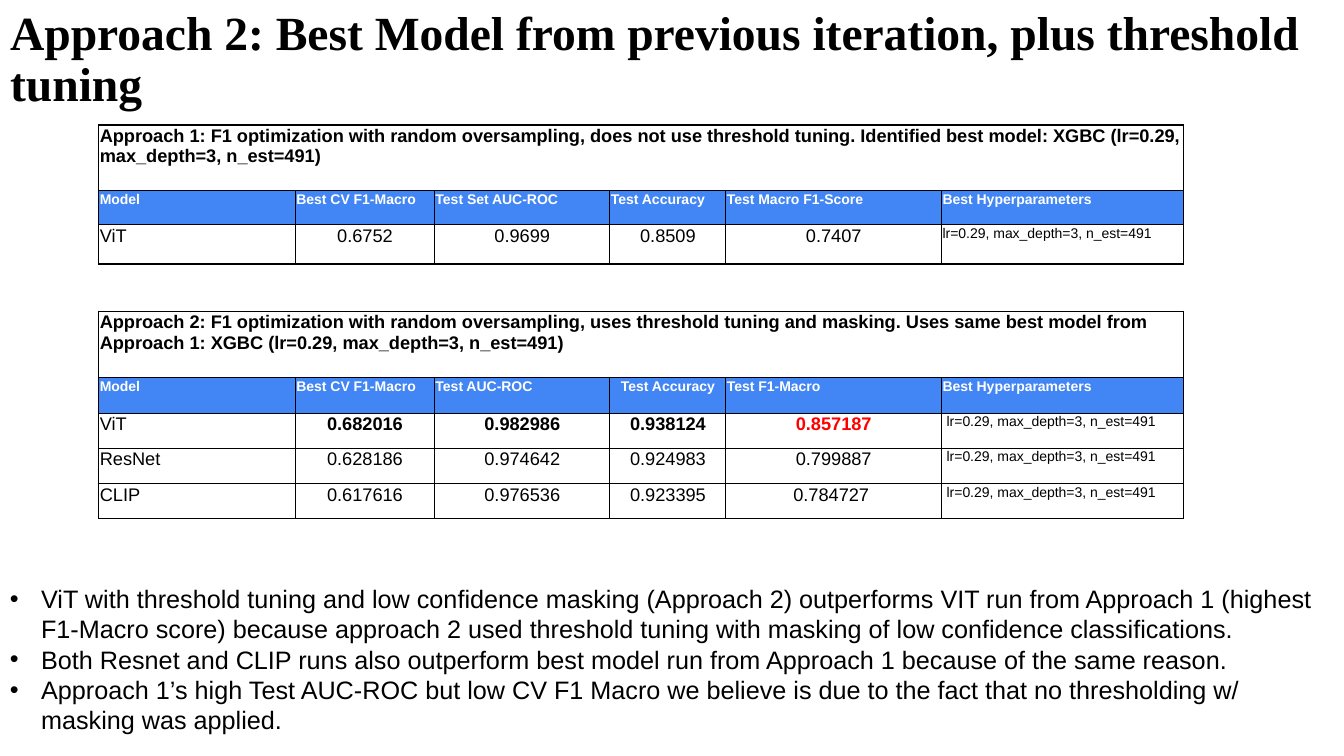
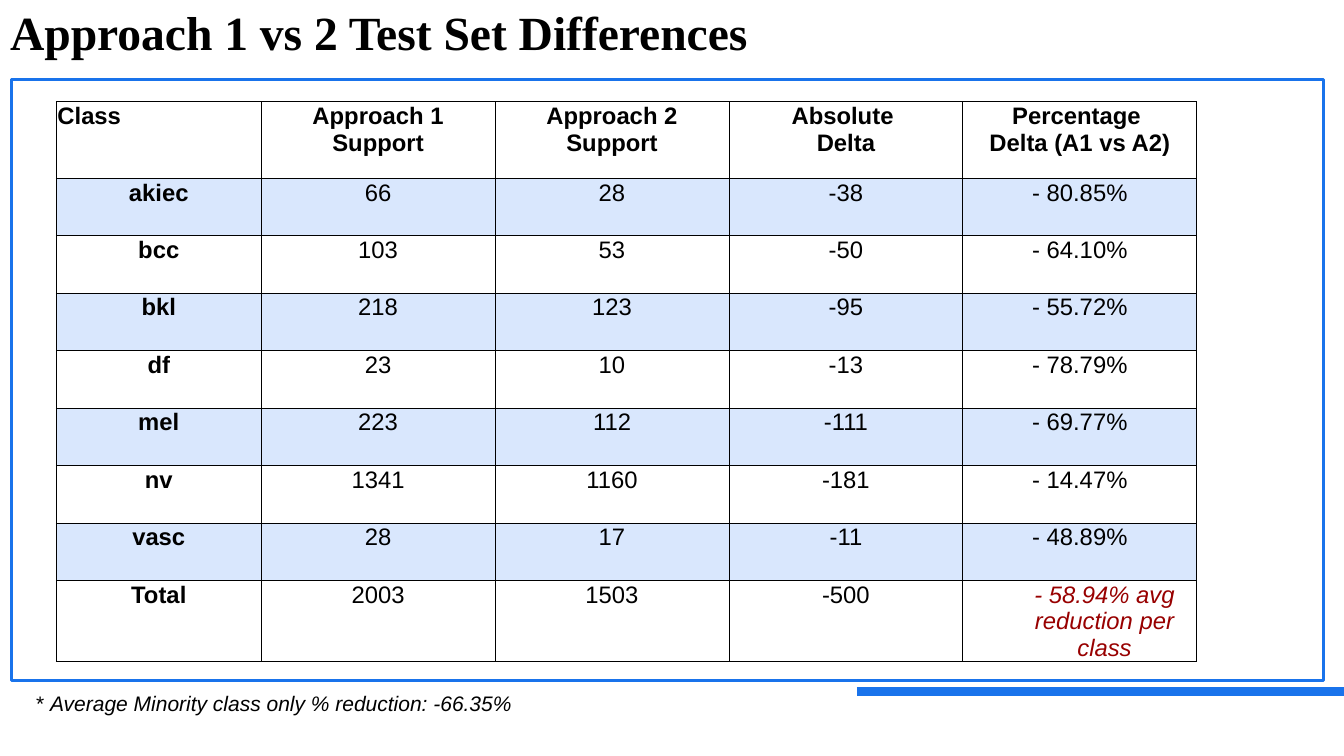
from collections import namedtuple

from pptx import Presentation
from pptx.dml.color import RGBColor
from pptx.enum.shapes import MSO_CONNECTOR, MSO_SHAPE
from pptx.enum.text import MSO_ANCHOR, MSO_AUTO_SIZE, PP_ALIGN
from pptx.oxml.ns import qn
from pptx.util import Inches, Pt
from lxml.etree import SubElement

COLORS = {"ink": "000000", "paper": "FFFFFF", "accent": "1973EB", "header": "4285F4",
          "stripe": "D9E7FD", "best": "FF0000", "loss": "980000"}
SLIDE_WIDTH, SLIDE_HEIGHT = Inches(13.33), Inches(7.5)
THIN, THICK = 0.75, 1
PARAMETERS = "lr=0.29, max_depth=3, n_est=491"

Box = namedtuple("Box", "left top width height")


def share(left, top, width, height):
    """Turn percentages of the slide into a box."""
    return Box(int(SLIDE_WIDTH * left / 100), int(SLIDE_HEIGHT * top / 100),
               int(SLIDE_WIDTH * width / 100), int(SLIDE_HEIGHT * height / 100))


def rgb(name):
    """Look up a named colour."""
    return RGBColor.from_string(COLORS[name])


def write(para, text, size=18, color="ink", bold=False, italic=False,
          font="Arial", align=PP_ALIGN.LEFT):
    """Put formatted text into a paragraph."""
    para.text = text
    para.alignment = align
    for span in para.runs:
        span.font.name, span.font.size = font, Pt(size)
        span.font.bold, span.font.italic = bold, italic
        span.font.color.rgb = rgb(color)


def add_page(deck, title):
    """Add a page with the shared title style."""
    page = deck.slides.add_slide(deck.slide_layouts[5])
    box = page.shapes.title
    box.left, box.top, box.width, box.height = share(0, 0.53, 100, 16)
    frame = box.text_frame
    frame.word_wrap, frame.auto_size = True, MSO_AUTO_SIZE.NONE
    frame.vertical_anchor = MSO_ANCHOR.TOP
    para = frame.paragraphs[0]
    write(para, title, size=34, bold=True, font="Times New Roman")
    para.line_spacing = 0.9
    return page


def add_panel(page, box, line=None):
    """Add a white rectangle, outlined on request."""
    panel = page.shapes.add_shape(MSO_SHAPE.RECTANGLE, *box)
    panel.shadow.inherit = False
    panel.fill.solid()
    panel.fill.fore_color.rgb = rgb("paper")
    if line:
        panel.line.color.rgb = rgb(line)
        panel.line.width = Pt(2)
    else:
        panel.line.fill.background()
    return panel


def add_band(page, box):
    """Draw the accent band along the top of a box."""
    band = page.shapes.add_connector(MSO_CONNECTOR.STRAIGHT, box.left, box.top,
                                     box.left + box.width, box.top)
    band.line.color.rgb = rgb("accent")
    band.line.width = Pt(6)
    SubElement(band._element.spPr, qn("a:effectLst"))


def add_grid(page, box, columns, rows):
    """Add a plain table whose columns and rows share the box by weight."""
    table = page.shapes.add_table(len(rows), len(columns), *box).table
    table.first_row = table.horz_banding = False
    for column, weight in zip(table.columns, columns):
        column.width = int(box.width * weight / sum(columns))
    for row, weight in zip(table.rows, rows):
        row.height = int(box.height * weight / sum(rows))
    return table


def set_borders(cell, left, right, top, bottom):
    """Draw the four cell borders, leaving out those of zero width."""
    properties = cell._tc.get_or_add_tcPr()
    for side, width in zip("LRTB", (left, right, top, bottom)):
        line = SubElement(properties, qn("a:ln" + side), w=str(Pt(width)))
        if width:
            fill = SubElement(line, qn("a:solidFill"))
            SubElement(fill, qn("a:srgbClr"), val=COLORS["ink"])
        else:
            SubElement(line, qn("a:noFill"))


def fill_cell(cell, text="", fill="paper", indent=0.01, **style):
    """Set fill, margins and text of a cell, one paragraph a line."""
    cell.fill.solid()
    cell.fill.fore_color.rgb = rgb(fill)
    cell.margin_left = Inches(indent)
    cell.margin_top = cell.margin_right = Inches(0.01)
    cell.margin_bottom = 0
    for index, line in enumerate(text.split("\n") if text else []):
        frame = cell.text_frame
        write(frame.add_paragraph() if index else frame.paragraphs[0], line, **style)


def outline_rows(table, first, last):
    """Rule a block of rows thinly, with a thicker outer edge."""
    end = len(table.columns) - 1
    for row in range(first, last + 1):
        for column in range(end + 1):
            set_borders(table.cell(row, column),
                        THICK if column == 0 else THIN, THICK if column == end else THIN,
                        THICK if row == first else THIN, THICK if row == last else THIN)


def fill_results(table, first, caption, headers, results, best=None, centered=None, indent=0.01):
    """Fill a block with its caption, header row and model results."""
    end = len(headers) - 1
    outline_rows(table, first, first + 1 + len(results))
    banner = table.cell(first, 0)
    banner.merge(table.cell(first, end))
    set_borders(table.cell(first, end), 0, THICK, THICK, THIN)
    fill_cell(banner, caption, size=13, bold=True)
    for column, header in enumerate(headers):
        fill_cell(table.cell(first + 1, column), header, fill="header", size=10, color="paper",
                  bold=True, align=PP_ALIGN.CENTER if column == centered else PP_ALIGN.LEFT)
    for row, (model, *scores) in enumerate(results, first + 2):
        fill_cell(table.cell(row, 0), model, size=13)
        for column, score in enumerate(scores, 1):
            fill_cell(table.cell(row, column), score, size=13, align=PP_ALIGN.CENTER,
                      bold=model == best,
                      color="best" if model == best and column == len(scores) else "ink")
        fill_cell(table.cell(row, end), PARAMETERS, size=10, indent=indent)


def add_results(page, box):
    """Add the table that compares both approaches."""
    table = add_grid(page, box, [1.95, 1.38, 1.74, 1.15, 2.14, 2.4],
                     [0.65, 0.34, 0.39, 0.47, 0.66, 0.35, 0.35, 0.35, 0.35])
    fill_results(
        table, 0,
        "Approach 1: F1 optimization with random oversampling, does not use threshold tuning. "
        f"Identified best model: XGBC ({PARAMETERS})",
        ["Model", "Best CV F1-Macro", "Test Set AUC-ROC", "Test Accuracy",
         "Test Macro F1-Score", "Best Hyperparameters"],
        [("ViT", "0.6752", "0.9699", "0.8509", "0.7407")])
    for column in range(len(table.columns)):
        gap = table.cell(3, column)
        set_borders(gap, 0, 0, THICK, THICK)
        fill_cell(gap)
    fill_results(
        table, 4,
        "Approach 2: F1 optimization with random oversampling, uses threshold tuning and masking. "
        f"Uses same best model from Approach 1: XGBC ({PARAMETERS})",
        ["Model", "Best CV F1-Macro", "Test AUC-ROC", "Test Accuracy",
         "Test F1-Macro", "Best Hyperparameters"],
        [("ViT", "0.682016", "0.982986", "0.938124", "0.857187"),
         ("ResNet", "0.628186", "0.974642", "0.924983", "0.799887"),
         ("CLIP", "0.617616", "0.976536", "0.923395", "0.784727 ")],
        best="ViT", centered=3, indent=0.05)


def add_bullets(page, box, points):
    """Add a panel of bulleted findings."""
    frame = add_panel(page, box).text_frame
    frame.word_wrap, frame.vertical_anchor = True, MSO_ANCHOR.TOP
    for index, point in enumerate(points):
        para = frame.add_paragraph() if index else frame.paragraphs[0]
        properties = para._p.get_or_add_pPr()
        properties.set("marL", str(Inches(0.31)))
        properties.set("indent", str(-Inches(0.31)))
        SubElement(properties, qn("a:buFont"), typeface="Arial")
        SubElement(properties, qn("a:buChar"), char="•")
        write(para, point)


def add_support(page, box):
    """Add the table of class support under both approaches."""
    headers = ["Class", "Approach 1\vSupport", "Approach 2\vSupport", "Absolute \vDelta",
               "Percentage \nDelta (A1 vs A2)"]
    classes = [("akiec", "66", "28", "-38", "- 80.85%"),
               ("bcc", "103", "53", "-50", "- 64.10%"),
               ("bkl", "218", "123", "-95", "- 55.72%"),
               ("df", "23", "10", "-13", "- 78.79%"),
               ("mel", "223", "112", "-111", "- 69.77%"),
               ("nv", "1341", "1160", "-181", "- 14.47%"),
               ("vasc", "28", "17", "-11", "- 48.89%"),
               ("Total", "2003", "1503", "-500", "- 58.94% avg reduction per class")]
    table = add_grid(page, box, [2.03] + [2.32] * 4, [0.76] + [0.57] * 7 + [0.8])
    last = len(classes)
    outline_rows(table, 0, last)
    for row, values in enumerate([headers] + classes):
        for column, value in enumerate(values):
            style = {"bold": row == 0 or column == 0,
                     "align": PP_ALIGN.LEFT if row == column == 0 else PP_ALIGN.CENTER}
            if row == last and column == 4:
                style.update(color="loss", italic=True, indent=0.5)
            fill_cell(table.cell(row, column), value, size=17,
                      fill="stripe" if row % 2 else "paper", **style)


def add_note(page, box, mark, text):
    """Add a footnote with an upright mark and italic text."""
    frame = page.shapes.add_textbox(*box).text_frame
    frame.word_wrap = True
    frame.margin_top = frame.margin_bottom = Inches(0.1)
    para = frame.paragraphs[0]
    write(para, mark, size=15)
    span = para.add_run()
    span.text = text
    span.font.name, span.font.size, span.font.italic = "Arial", Pt(15), True
    span.font.color.rgb = rgb("ink")


def build_results_page(deck):
    """Build the page on threshold tuning."""
    page = add_page(deck, "Approach 2: Best Model from previous iteration, plus threshold tuning")
    add_results(page, share(7.35, 16.53, 80.72, 52.13))
    add_bullets(page, share(0, 76.53, 100, 21.6), [
        "ViT with threshold tuning and low confidence masking (Approach 2) outperforms VIT run "
        "from Approach 1 (highest F1-Macro score) because approach 2 used threshold tuning with "
        "masking of low confidence classifications.",
        "Both Resnet and CLIP runs also outperform best model run from Approach 1 because of "
        "the same reason.",
        "Approach 1’s high Test AUC-ROC but low CV F1 Macro we believe is due to the fact that "
        "no thresholding w/ masking was applied."])


def build_support_page(deck):
    """Build the page on test set differences."""
    page = add_page(deck, "Approach 1 vs 2 Test Set Differences")
    panel = add_panel(page, share(0.83, 10.53, 97.67, 79.47), line="accent")
    page.shapes.title._element.addprevious(panel._element)
    add_band(page, share(63.75, 91.47, 36.25, 0))
    add_support(page, share(4.2, 13.47, 84.85, 74))
    add_note(page, share(1.95, 90, 54.24, 6), "* ",
             "Average Minority class only % reduction: -66.35%")


def main():
    """Build and save the deck."""
    deck = Presentation()
    deck.slide_width, deck.slide_height = SLIDE_WIDTH, SLIDE_HEIGHT
    build_results_page(deck)
    build_support_page(deck)
    deck.save("out.pptx")


if __name__ == "__main__":
    main()
